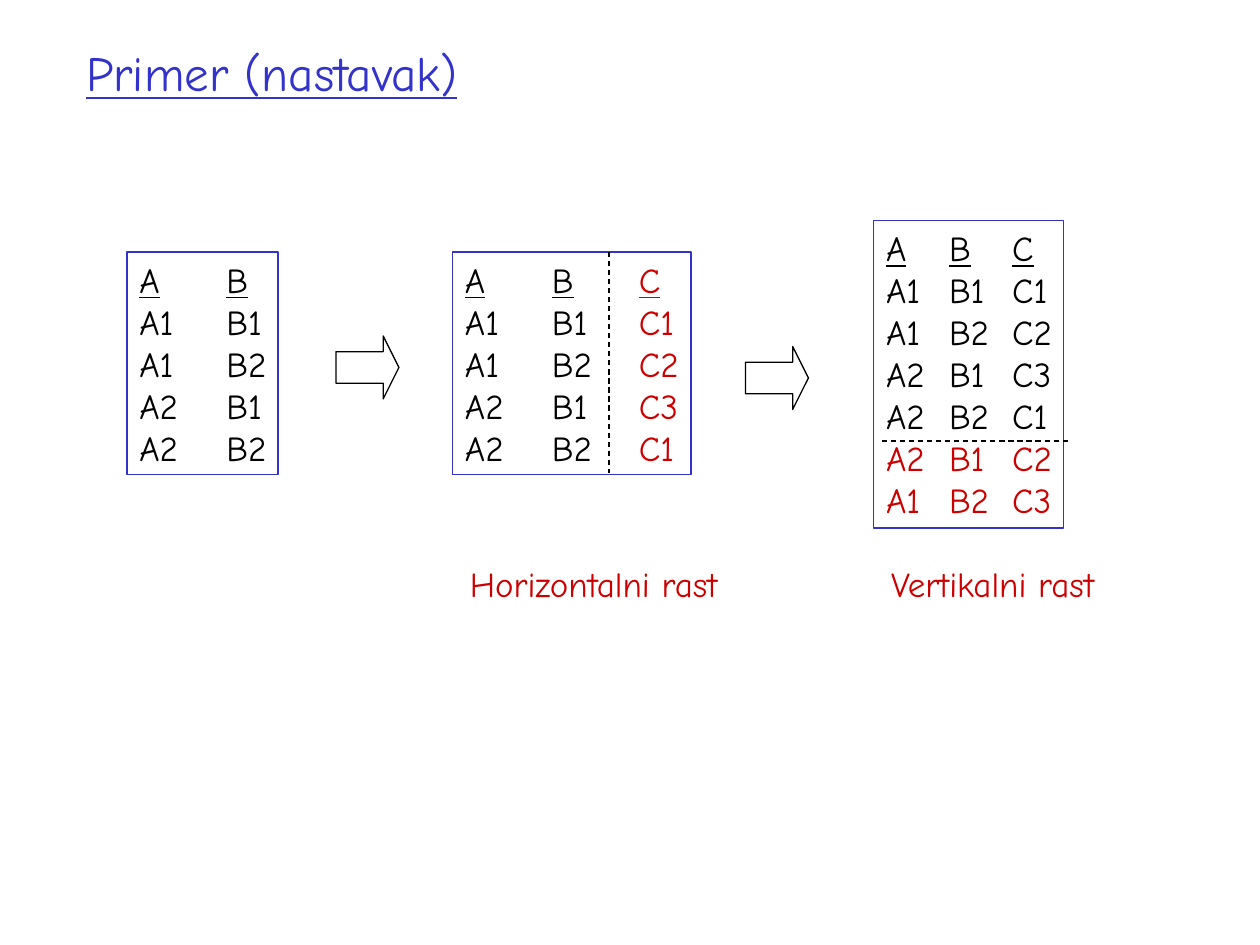
from lxml import etree
from pptx import Presentation
from pptx.dml.color import RGBColor
from pptx.enum.dml import MSO_LINE
from pptx.enum.shapes import MSO_CONNECTOR, MSO_SHAPE
from pptx.enum.text import MSO_ANCHOR, MSO_AUTO_SIZE, PP_ALIGN
from pptx.oxml.ns import qn
from pptx.util import Inches, Pt

RECTANGLE, RIGHT_ARROW = MSO_SHAPE.RECTANGLE, MSO_SHAPE.RIGHT_ARROW
STRAIGHT, DASH = MSO_CONNECTOR.STRAIGHT, MSO_LINE.DASH
LEFT, CENTER = PP_ALIGN.LEFT, PP_ALIGN.CENTER
TOP, MIDDLE = MSO_ANCHOR.TOP, MSO_ANCHOR.MIDDLE
NO_AUTOFIT = MSO_AUTO_SIZE.NONE
BLUE = RGBColor(0x33, 0x33, 0xCC)
RED = RGBColor(0xCC, 0x00, 0x00)
BLACK = RGBColor(0x00, 0x00, 0x00)
FONT = "Comic Neue"

presentation = Presentation()
presentation.slide_width = Inches(10)
presentation.slide_height = Inches(7.5)
slide = presentation.slides.add_slide(presentation.slide_layouts[5])
COLUMN = presentation.slide_width / 120
ROW = presentation.slide_height / 90


def place(left, top, width, height):
    return [round(left * COLUMN), round(top * ROW), round(width * COLUMN), round(height * ROW)]


def style_run(run, size, color, underline=False):
    run.font.name = FONT
    run.font.size = Pt(size)
    run.font.color.rgb = color
    run.font.underline = underline


title = slide.shapes.title
title.left, title.top, title.width, title.height = place(7, 3, 101.4, 7.7)
title.text_frame.text = "Primer (nastavak)"
title.text_frame.auto_size = NO_AUTOFIT
title.text_frame.vertical_anchor = MIDDLE
title_paragraph = title.text_frame.paragraphs[0]
title_paragraph.alignment = LEFT
style_run(title_paragraph.runs[0], 28, BLUE, True)

pairs = ["A B", "A1 B1", "A1 B2", "A2 B1", "A2 B2"]
triples = [f"{pair} {value}" for pair, value in zip(pairs, ["C", "C1", "C2", "C3", "C1"])]
relations = [
    (place(12.1, 24, 14.4, 21.2), pairs, 0.69, 2, 5),
    (place(43.1, 24, 22.7, 21.2), triples, 0.69, 2, 5),
    (place(83.2, 21, 18.1, 29.3), triples + ["A2 B1 C2", "A1 B2 C3"], 0.5, 3, 5),
]
for position, rows, tab_width, first_red_column, first_red_row in relations:
    box = slide.shapes.add_shape(RECTANGLE, *position)
    box.shadow.inherit = False
    box.fill.background()
    box.line.color.rgb = BLUE
    box.line.width = Pt(0.75)
    frame = box.text_frame
    frame.word_wrap = False
    frame.vertical_anchor = TOP
    frame.text = "\n" * (len(rows) - 1)
    for row, (paragraph, line) in enumerate(zip(frame.paragraphs, rows)):
        paragraph.alignment = LEFT
        tabs = etree.SubElement(paragraph._p.get_or_add_pPr(), qn("a:tabLst"))
        for column, cell in enumerate(line.split()):
            if column:
                stop = Inches(tab_width * column)
                etree.SubElement(tabs, qn("a:tab"), pos=str(stop), algn="l")
            run = paragraph.add_run()
            run.text = f"\t{cell}" if column else cell
            is_red = column >= first_red_column or row >= first_red_row
            style_run(run, 20, RED if is_red else BLACK, row == 0)

for start_x, start_y, end_x, end_y in [(58, 24, 58, 45), (84, 42, 102, 42)]:
    start, end = place(start_x, start_y, 0, 0), place(end_x, end_y, 0, 0)
    divider = slide.shapes.add_connector(STRAIGHT, *start[:2], *end[:2])
    divider.line.color.rgb = BLACK
    divider.line.width = Pt(0.75)
    divider.line.dash_style = DASH
    etree.SubElement(divider._element.spPr, qn("a:effectLst"))

for left, top in [(32, 32), (71, 33)]:
    arrow = slide.shapes.add_shape(RIGHT_ARROW, *place(left, top, 6, 6))
    arrow.adjustments[0] = 0.5
    arrow.adjustments[1] = 0.25
    arrow.shadow.inherit = False
    arrow.fill.background()
    arrow.line.color.rgb = BLACK
    arrow.line.width = Pt(0.75)

for caption, left, width in [("Horizontalni rast", 43.4, 26.3), ("Vertikalni rast", 83.5, 22.1)]:
    label = slide.shapes.add_textbox(*place(left, 53, width, 5.3))
    label.text_frame.word_wrap = False
    label.text_frame.text = caption
    label_paragraph = label.text_frame.paragraphs[0]
    label_paragraph.alignment = CENTER
    style_run(label_paragraph.runs[0], 20, RED)

presentation.save("out.pptx")
